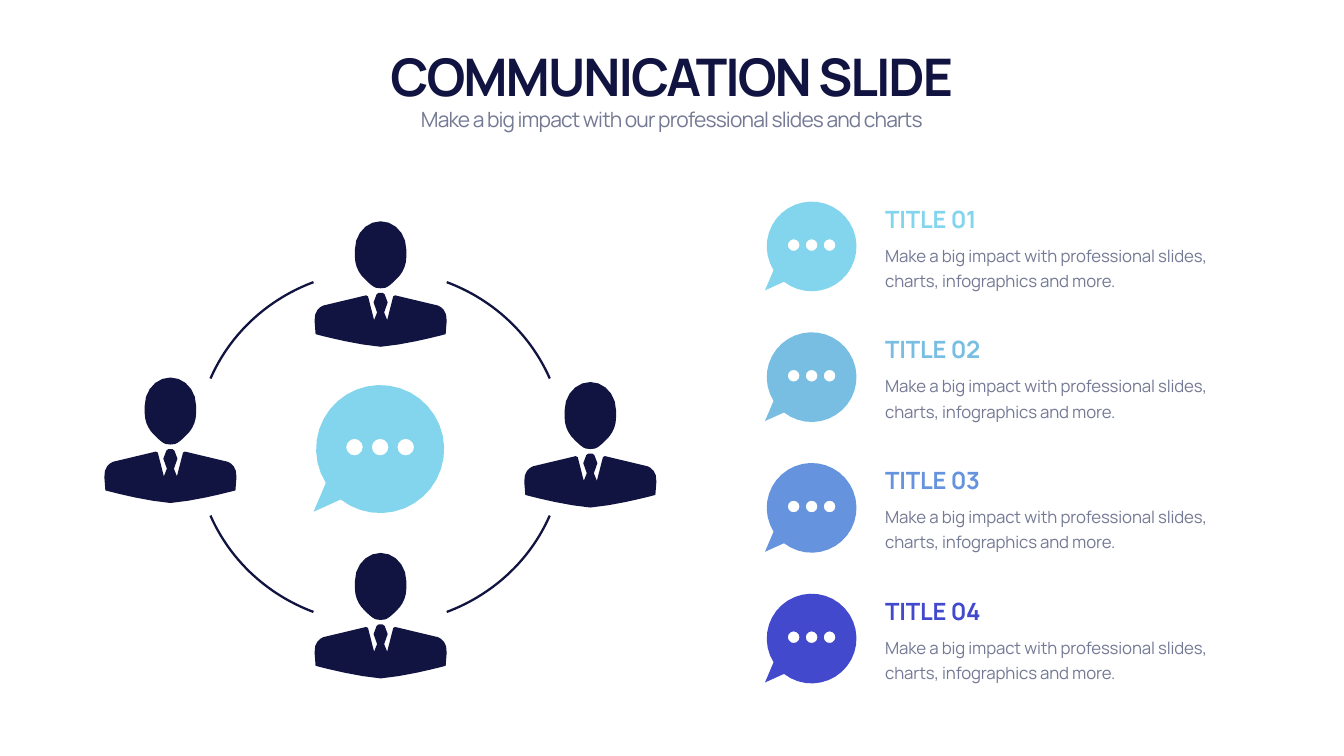
"""Build a communication slide with a ring of people and four titled speech bubbles."""
import math
from dataclasses import dataclass

import pptx
import pptx.dml.color
import pptx.enum.shapes
import pptx.enum.text
import pptx.shapes.autoshape
import pptx.shapes.shapetree
import pptx.util

Inches = pptx.util.Inches
Point = tuple[float, float]
Outline = list[Point]

COLORS = {
    "navy": "111340", "grey": "747994", "white": "FFFFFF",
    "aqua": "83D5ED", "sky": "78BEE3", "blue": "6593DE", "indigo": "4349CC",
}
FONT = "Manrope"
DESCRIPTION = "Make a big impact with professional slides, charts, infographics and more."

HEAD = [
    [(0, 0), (0.28, 0), (0.51, 0.25), (0.51, 0.56)],
    [(0.51, 0.71), (0.51, 0.88), (0.43, 1.04), (0.32, 1.14)],
    [(0.32, 1.14), (0.25, 1.21), (0.16, 1.3), (0.09, 1.32)],
    [(0, 1.33)],
]
BODY = [
    [(0.04, 1.42)], [(0.08, 1.45)], [(0.14, 1.61)], [(0.07, 1.81)], [(0.13, 1.96)],
    [(0.25, 1.49)], [(0.29, 1.47)],
    [(1.13, 1.67), (1.13, 1.67), (1.33, 1.73), (1.31, 1.98)],
    [(1.29, 2.24), (1.29, 2.24), (0.57, 2.44), (0, 2.49)],
]


@dataclass(frozen=True)
class TextStyle:
    """Describe the look of one kind of text."""
    size: float
    spacing: float
    bold: bool = False
    centered: bool = False
    bottom: bool = False
    line_points: float | None = None


@dataclass(frozen=True)
class Topic:
    """Hold one titled row of the list."""
    title: str
    color: str


HEADLINE = TextStyle(74, -2.9, bold=True, centered=True, bottom=True)
SUBTITLE = TextStyle(30, -1.2, centered=True)
TOPIC_TITLE = TextStyle(34, -0.3, bold=True, bottom=True)
TOPIC_TEXT = TextStyle(24, -0.2, line_points=36)

TOPICS = [
    Topic("TITLE 01", "aqua"), Topic("TITLE 02", "sky"),
    Topic("TITLE 03", "blue"), Topic("TITLE 04", "indigo"),
]
PEOPLE = [(7.55, 4.39), (7.55, 10.97), (3.38, 7.49), (11.71, 7.58)]


def rgb(name: str) -> pptx.dml.color.RGBColor:
    """Return the named colour."""
    return pptx.dml.color.RGBColor.from_string(COLORS[name])


def curve(points: Outline, steps: int = 5) -> Outline:
    """Sample a cubic curve, or pass a single corner through."""
    if len(points) == 1:
        return points
    samples = []
    for step in range(steps + 1):
        t = step / steps
        weights = [math.comb(3, i) * t**i * (1 - t) ** (3 - i) for i in range(4)]
        samples.append((sum(w * p[0] for w, p in zip(weights, points)),
                        sum(w * p[1] for w, p in zip(weights, points))))
    return samples


def mirrored(segments: list[Outline]) -> Outline:
    """Complete a right half outline with its left half."""
    half = list(dict.fromkeys(point for segment in segments for point in curve(segment)))
    return half + [(-x, y) for x, y in reversed(half) if x]


def arc_points(x: float, radius: float, start: float, end: float, steps: int) -> Outline:
    """Sample a circular arc between two angles in degrees."""
    angles = [math.radians(start + (end - start) * i / steps) for i in range(steps + 1)]
    return [(x + radius * math.cos(a), radius * math.sin(a)) for a in angles]


def add_outlines(shapes: pptx.shapes.shapetree._BaseGroupShapes, outlines: list[Outline],
                 x: float, y: float, scale: float, color: str) -> None:
    """Draw closed outlines as one filled shape."""
    placed = [[(Inches(x + scale * px), Inches(y + scale * py)) for px, py in outline]
              for outline in outlines]
    builder = shapes.build_freeform(*placed[0][0], scale=1.0)
    for index, outline in enumerate(placed):
        if index:
            builder.move_to(*outline[0])
        builder.add_line_segments(outline[1:], close=True)
    shape = builder.convert_to_shape()
    shape.shadow.inherit = False
    shape.fill.solid()
    shape.fill.fore_color.rgb = rgb(color)
    shape.line.fill.background()


def add_bubble(shapes: pptx.shapes.shapetree._BaseGroupShapes, x: float, y: float,
               radius: float, color: str) -> None:
    """Draw a speech bubble with three cut-out dots around its centre."""
    balloon = arc_points(0, 1, 148, 488, 34) + [(-1.04, 0.98)]
    dots = [arc_points(dx, 0.13, 0, 330, 11) for dx in (-0.4, 0, 0.4)]
    raised_dots = [[(px, py - 0.03) for px, py in dot] for dot in dots]
    add_outlines(shapes, [balloon, *raised_dots], x, y, radius, color)


def add_ring_arc(shapes: pptx.shapes.shapetree._BaseGroupShapes, rotation: int) -> None:
    """Draw one quarter of the ring that links the people."""
    width, height = (7.02, 7.3) if rotation % 180 else (7.3, 7.02)
    arc = shapes.add_shape(pptx.enum.shapes.MSO_SHAPE.ARC, Inches(7.54 - width / 2),
                           Inches(8.87 - height / 2), Inches(width), Inches(height))
    for index, degrees in enumerate((112, 158)):
        arc.adjustments[index] = degrees * 0.6
    arc.rotation = rotation
    arc.shadow.inherit = False
    arc.fill.background()
    arc.line.color.rgb = rgb("navy")
    arc.line.width = pptx.util.Pt(3.25)


def add_text(shapes: pptx.shapes.shapetree.SlideShapes, text: str, left: float, top: float,
             width: float, height: float, style: TextStyle, color: str) -> None:
    """Add a one-paragraph text box."""
    frame = shapes.add_textbox(Inches(left), Inches(top), Inches(width), Inches(height)).text_frame
    frame.word_wrap = True
    frame.auto_size = pptx.enum.text.MSO_AUTO_SIZE.SHAPE_TO_FIT_TEXT
    frame.margin_left = frame.margin_right = Inches(0.09)
    frame.margin_top = frame.margin_bottom = Inches(0.05)
    anchor = pptx.enum.text.MSO_ANCHOR
    frame.vertical_anchor = anchor.BOTTOM if style.bottom else anchor.TOP
    paragraph = frame.paragraphs[0]
    align = pptx.enum.text.PP_ALIGN
    paragraph.alignment = align.CENTER if style.centered else align.LEFT
    if style.line_points:
        paragraph.line_spacing = pptx.util.Pt(style.line_points)
    run = paragraph.add_run()
    run.text = text
    run.font.name = FONT
    run.font.size = pptx.util.Pt(style.size)
    run.font.bold = style.bold
    run.font.color.rgb = rgb(color)
    run._r.get_or_add_rPr().set("spc", str(round(style.spacing * 100)))


def main() -> None:
    """Build and save the presentation."""
    presentation = pptx.Presentation()
    presentation.slide_width, presentation.slide_height = Inches(26.66), Inches(15)
    slide = presentation.slides.add_slide(presentation.slide_layouts[6])
    slide.background.fill.solid()
    slide.background.fill.fore_color.rgb = rgb("white")

    ring = slide.shapes.add_group_shape().shapes
    for x, y in PEOPLE:
        add_outlines(ring, [mirrored(BODY), mirrored(HEAD)], x, y, 1, "navy")
    add_bubble(ring, 7.54, 8.91, 1.27, "aqua")
    for rotation in range(0, 360, 90):
        add_ring_arc(ring, rotation)

    add_text(slide.shapes, "COMMUNICATION SLIDE", 1.66, 0.82, 23.33, 1.35, HEADLINE, "navy")
    add_text(slide.shapes, "Make a big impact with our professional slides and charts",
             1.66, 2.07, 23.33, 0.61, SUBTITLE, "grey")

    row_pitch = (11.78 - 4) / 3
    for index, topic in enumerate(TOPICS):
        top = 4 + index * row_pitch
        add_bubble(slide.shapes, 16.1, top + 0.89, 0.89, topic.color)
        add_text(slide.shapes, topic.title, 17.47, top, 7.23, 0.67, TOPIC_TITLE, topic.color)
        add_text(slide.shapes, DESCRIPTION, 17.47, top + 0.72, 7.23, 1.09, TOPIC_TEXT, "grey")

    presentation.save("out.pptx")


main()
